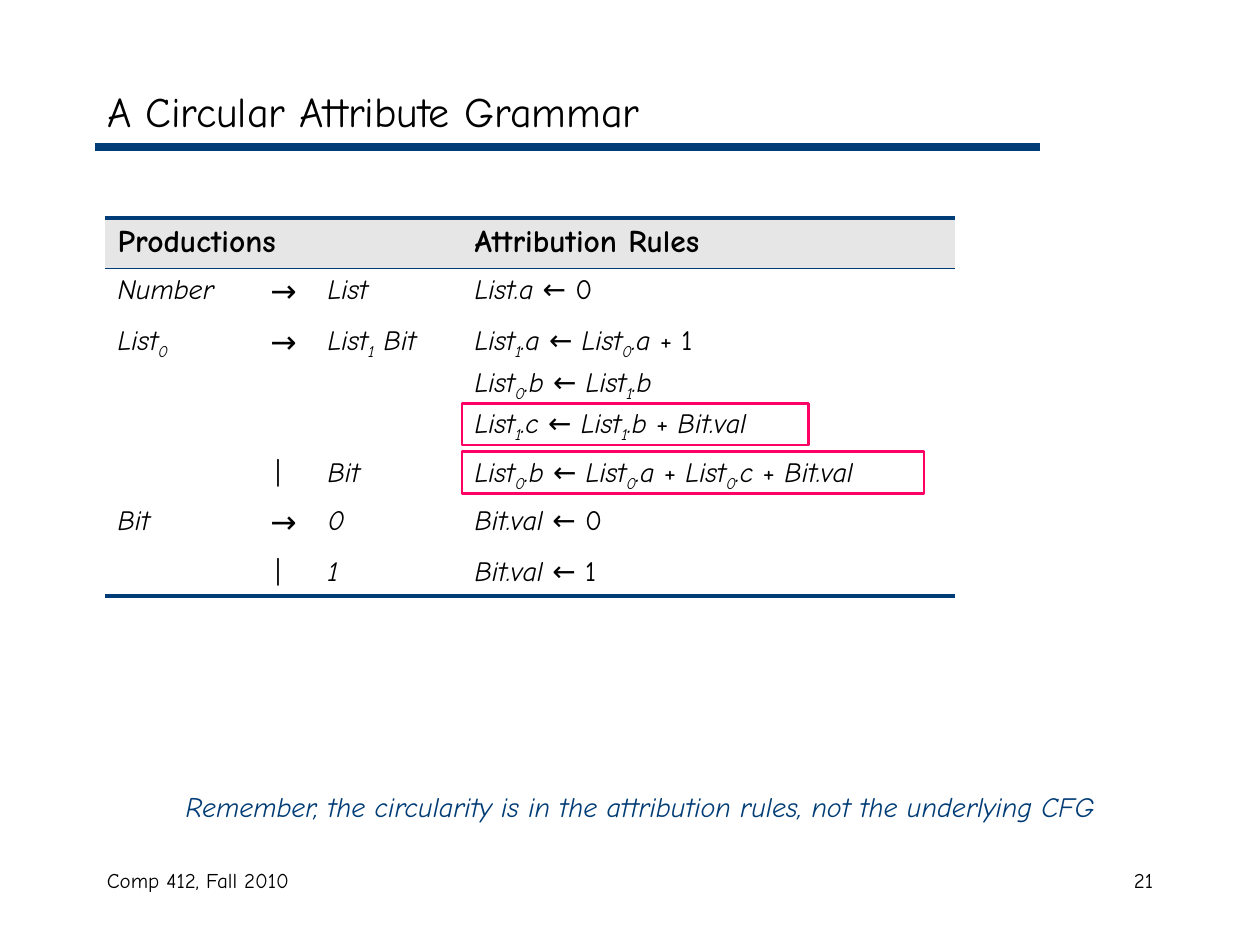
from itertools import groupby

from lxml.etree import SubElement
from pptx import Presentation
from pptx.dml.color import RGBColor
from pptx.enum.shapes import MSO_CONNECTOR, MSO_SHAPE
from pptx.enum.text import MSO_ANCHOR, PP_ALIGN
from pptx.oxml.ns import qn
from pptx.util import Inches, Pt

COLORS = {"ink": "000000", "navy": "003C75", "header": "E6E6E6", "highlight": "FF0065"}
FONT = "Comic Neue"
GRID = Inches(1) / 12
PLAIN_STYLE = "{2D5ABB26-0587-4C30-8999-92F81FD0307C}"
SUBSCRIPTS = {"₀": "0", "₁": "1"}
COLUMN_WIDTHS = [13, 7, 14, 47]
ROW_HEIGHTS = [4.8, 4.8, 12.6, 4.6, 4.8, 4.4]
HEADERS = {0: "Productions", 3: "Attribution Rules"}
GRAMMAR = [
    ("Number", " →", "List", ["List.a ← 0"]),
    ("List₀", " →", "List₁ Bit",
     ["List₁.a ← List₀.a + 1", "List₀.b ← List₁.b", "List₁.c ← List₁.b + Bit.val"]),
    ("", "|", "Bit", ["List₀.b ← List₀.a + List₀.c + Bit.val"]),
    ("Bit", " →", "0", ["Bit.val ← 0"]),
    ("", "|", "1", ["Bit.val ← 1"]),
]


def color(name):
    return RGBColor.from_string(COLORS[name])


def cells(*counts):
    return [round(count * GRID) for count in counts]


def format_run(run, size, ink="ink", bold=False, italic=False):
    font = run.font
    font.name, font.size, font.bold, font.italic = FONT, Pt(size), bold, italic
    font.color.rgb = color(ink)


def add_text(slide, box, text, size, align=PP_ALIGN.LEFT, ink="ink", italic=False):
    frame = slide.shapes.add_textbox(*cells(*box)).text_frame
    frame.word_wrap = True
    paragraph = frame.paragraphs[0]
    paragraph.text = text
    paragraph.alignment = align
    format_run(paragraph.runs[0], size, ink, italic=italic)


def add_heading(slide, box):
    left, top, width, height = box
    title = slide.shapes.title
    title.left, title.top, title.width, title.height = cells(*box)
    title.text_frame.text = "A Circular Attribute Grammar"
    title.text_frame.vertical_anchor = MSO_ANCHOR.MIDDLE
    paragraph = title.text_frame.paragraphs[0]
    paragraph.alignment = PP_ALIGN.LEFT
    format_run(paragraph.runs[0], 24)
    rule_y = top + height
    rule = slide.shapes.add_connector(
        MSO_CONNECTOR.STRAIGHT, *cells(left, rule_y, left + 90, rule_y))
    rule.line.color.rgb = color("navy")
    rule.line.width = Pt(4.5)
    SubElement(rule._element.spPr, qn("a:effectLst"))


def add_border(cell, side, width):
    line = SubElement(cell._tc.get_or_add_tcPr(), qn(f"a:ln{side}"), w=str(Pt(width)))
    fill = SubElement(line, qn("a:solidFill"))
    SubElement(fill, qn("a:srgbClr"), val=COLORS["navy"])


def write_symbols(paragraph, text, upright):
    def style(character):
        return character in SUBSCRIPTS, character in upright

    for (subscript, straight), characters in groupby(text, style):
        run = paragraph.add_run()
        run.text = "".join(SUBSCRIPTS.get(character, character) for character in characters)
        format_run(run, 18 if "→" in text else 16, italic=not straight)
        if subscript:
            run.font._element.set("baseline", "-25000")


def fill_cell(cell, lines, upright, align):
    cell.margin_bottom = 0
    frame = cell.text_frame
    for index, text in enumerate(lines):
        paragraph = frame.add_paragraph() if index else frame.paragraphs[0]
        paragraph.alignment = align
        if index:
            paragraph.space_before = Pt(3.2)
        write_symbols(paragraph, text, upright)
        if not text:
            SubElement(paragraph._p, qn("a:endParaRPr"), sz="1200")


def add_grammar_table(slide, box):
    frame = slide.shapes.add_table(len(ROW_HEIGHTS), len(COLUMN_WIDTHS), *cells(*box))
    table = frame.table
    table.first_row = table.horz_banding = False
    table._tbl.tblPr.find(qn("a:tableStyleId")).text = PLAIN_STYLE
    for column, width in zip(table.columns, cells(*COLUMN_WIDTHS)):
        column.width = width
    for row, height in zip(table.rows, cells(*ROW_HEIGHTS)):
        row.height = height

    table.cell(0, 0).merge(table.cell(0, 2))
    for index, cell in enumerate(table.rows[0].cells):
        add_border(cell, "T", 2.25)
        add_border(cell, "B", 1)
        cell.fill.solid()
        cell.fill.fore_color.rgb = color("header")
        if index in HEADERS:
            cell.text_frame.text = HEADERS[index]
            format_run(cell.text_frame.paragraphs[0].runs[0], 18, bold=True)

    for row_index, (symbol, operator, body, rules) in enumerate(GRAMMAR, 1):
        contents = [
            ([symbol], "", PP_ALIGN.LEFT),
            ([operator], " →|", PP_ALIGN.CENTER),
            ([body], "", PP_ALIGN.LEFT),
            (rules, "←+01", PP_ALIGN.LEFT),
        ]
        for cell, content in zip(table.rows[row_index].cells, contents):
            fill_cell(cell, *content)
            if row_index == len(GRAMMAR):
                add_border(cell, "B", 2.25)
            cell.fill.background()


def add_highlights(slide, left, boxes):
    for top, width in boxes:
        outline = slide.shapes.add_shape(MSO_SHAPE.RECTANGLE, *cells(left, top, width, 4))
        outline.shadow.inherit = False
        outline.fill.background()
        outline.line.color.rgb = color("highlight")
        outline.line.width = Pt(1.5)


def add_footer(slide, top):
    add_text(slide, (9, top, 38, 6), "Comp 412, Fall 2010", 12)
    add_text(slide, (86, top, 25, 6), "21", 12, PP_ALIGN.RIGHT)


def main():
    presentation = Presentation()
    presentation.slide_width, presentation.slide_height = Inches(10), Inches(7.5)
    slide = presentation.slides.add_slide(presentation.slide_layouts[5])
    add_heading(slide, (9, 7, 102, 7))
    add_footer(slide, 82)
    add_grammar_table(slide, (10, 20.75, sum(COLUMN_WIDTHS), sum(ROW_HEIGHTS)))
    add_text(slide, (10, 74.6, 102, 4.4),
             "Remember, the circularity is in the attribution rules, not the underlying CFG",
             16, PP_ALIGN.CENTER, "navy", True)
    add_highlights(slide, 44, [(38.4, 33), (43, 44)])
    presentation.save("out.pptx")


if __name__ == "__main__":
    main()
